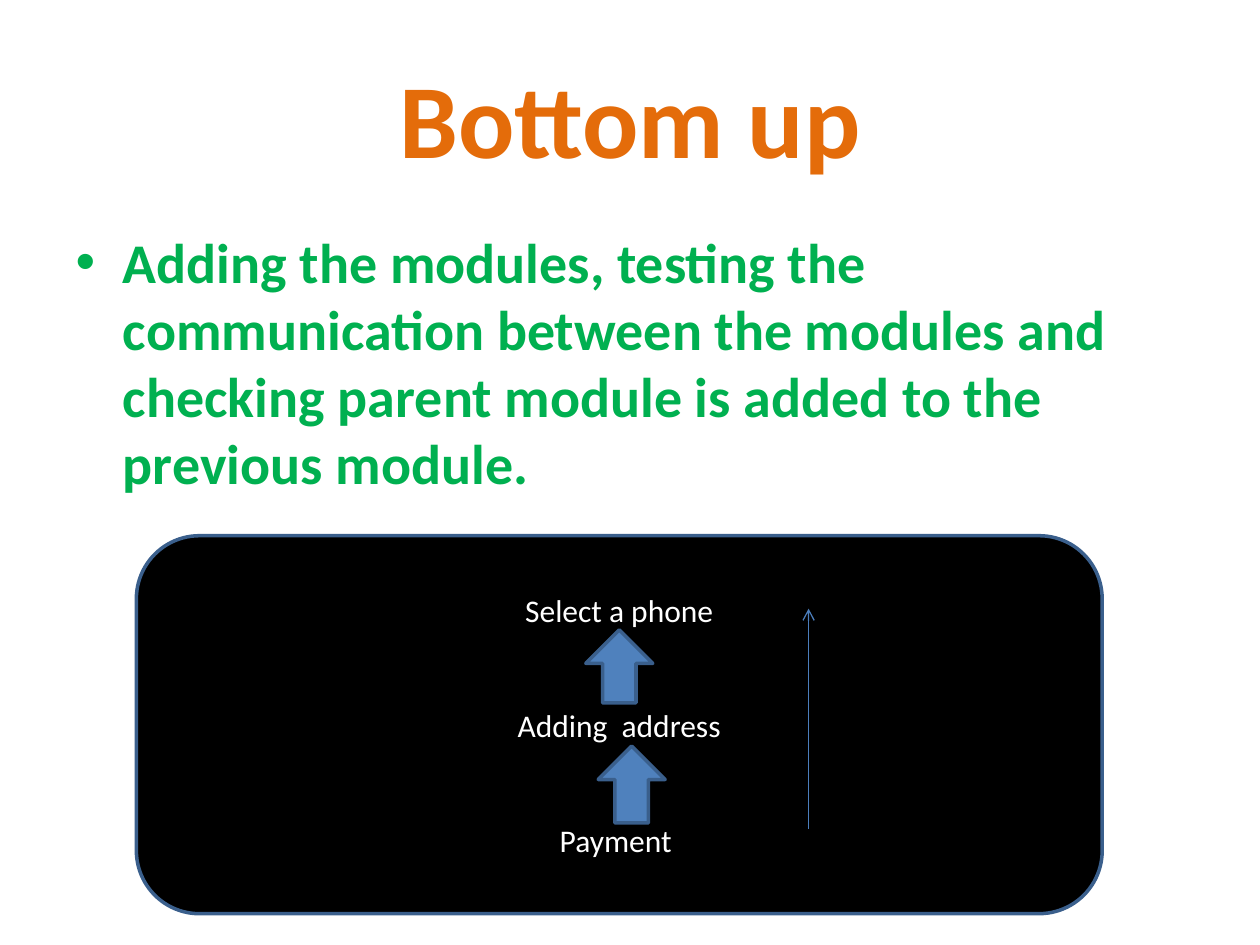
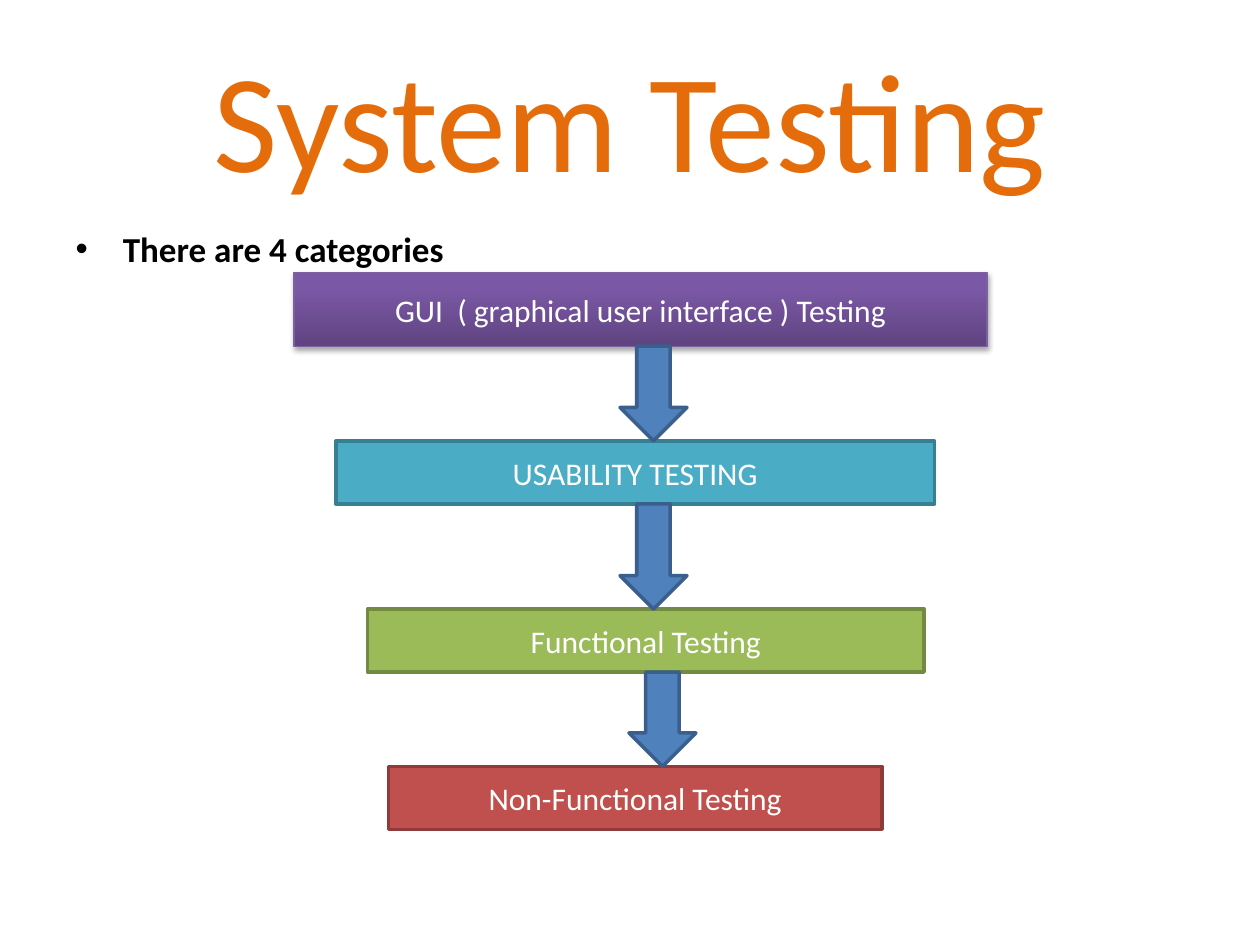
from copy import deepcopy
from lxml import etree
from pptx import Presentation
from pptx.dml.color import RGBColor
from pptx.enum.shapes import MSO_CONNECTOR, MSO_SHAPE
from pptx.enum.text import MSO_ANCHOR, MSO_AUTO_SIZE, PP_ALIGN
from pptx.oxml import parse_xml
from pptx.oxml.ns import nsdecls, qn
from pptx.util import Cm, Pt

RECT, ROUNDED = MSO_SHAPE.RECTANGLE, MSO_SHAPE.ROUNDED_RECTANGLE
UP, DOWN = MSO_SHAPE.UP_ARROW, MSO_SHAPE.DOWN_ARROW
CENTER, MIDDLE = PP_ALIGN.CENTER, MSO_ANCHOR.MIDDLE

ORANGE = RGBColor(0xE4, 0x6C, 0x0A)
GREEN = RGBColor(0x00, 0xB0, 0x50)
BLACK = RGBColor(0x00, 0x00, 0x00)
WHITE = RGBColor(0xFF, 0xFF, 0xFF)
BLUE = RGBColor(0x4F, 0x81, 0xBD)
BLUE_EDGE = RGBColor(0x3A, 0x5F, 0x8C)
BLUE_LINE = RGBColor(0x4B, 0x7E, 0xBC)
TEAL = RGBColor(0x4B, 0xAC, 0xC6)
TEAL_EDGE = RGBColor(0x37, 0x7F, 0x92)
OLIVE = RGBColor(0x9B, 0xBB, 0x59)
OLIVE_EDGE = RGBColor(0x73, 0x8A, 0x42)
RED = RGBColor(0xC0, 0x50, 0x4D)
RED_EDGE = RGBColor(0x8E, 0x3B, 0x39)
PURPLE = RGBColor(0x7C, 0x57, 0xA8)
PURPLE_MID = RGBColor(0x7B, 0x58, 0xA6)
PURPLE_DARK = RGBColor(0x5F, 0x44, 0x80)
PURPLE_EDGE = RGBColor(0x7D, 0x60, 0xA0)

FONT = "Calibri"
LABEL = {"size": Pt(18), "bold": False, "color": WHITE}


def write(tf, lines, style, align=None, gap=0):
    tf.word_wrap = True
    for i, line in enumerate(lines):
        p = tf.paragraphs[0] if i == 0 else tf.add_paragraph()
        p.alignment = align
        p.space_before = Pt(gap if i else 0)
        r = p.add_run()
        r.text = line
        r.font.name = FONT
        for key, value in style.items():
            if key == "color":
                r.font.color.rgb = value
            else:
                setattr(r.font, key, value)


def add_box(s, kind, box, fill, edge, lines=(), gap=0):
    sp = s.shapes.add_shape(kind, *[Cm(v) for v in box])
    sp.shadow.inherit = False
    sp.fill.solid()
    sp.fill.fore_color.rgb = fill
    sp.line.color.rgb = edge
    sp.line.width = Pt(2)
    sp.text_frame.vertical_anchor = MIDDLE
    write(sp.text_frame, lines, LABEL, CENTER, gap)
    return sp


prs = Presentation()
prs.slide_width, prs.slide_height = Cm(25.4), Cm(19.05)

pages = [
    ("Bottom up", {"size": Pt(60), "bold": True, "color": ORANGE},
     "Adding the modules, testing the communication between the modules and "
     "checking parent module is added to the previous module.",
     {"size": Pt(32), "bold": True, "color": GREEN}),
    ("System Testing", {"size": Pt(80), "bold": False, "color": ORANGE},
     "There are 4 categories", {"size": Pt(20), "bold": True, "color": BLACK}),
]
slides = []
for title, title_style, bullet, bullet_style in pages:
    s = prs.slides.add_slide(prs.slide_layouts[1])
    slides.append(s)
    for sp, top, height, text, style, align, anchor in (
        (s.shapes.title, 0.76, 3.18, title, title_style, CENTER, MIDDLE),
        (s.placeholders[1], 4.45, 12.57, bullet, bullet_style, None, MSO_ANCHOR.TOP),
    ):
        sp.left, sp.top, sp.width, sp.height = Cm(1.27), Cm(top), Cm(22.86), Cm(height)
        tf = sp.text_frame
        tf.auto_size = MSO_AUTO_SIZE.NONE
        tf.vertical_anchor = anchor
        write(tf, [text], style, align)

s = slides[0]
add_box(s, ROUNDED, (2.75, 10.8, 19.47, 7.62), BLACK, BLUE_EDGE,
        ["Select a phone", "Adding  address", "Payment "], gap=44)
for left, top, height in ((11.81, 12.7, 1.47), (12.06, 15.04, 1.55)):
    add_box(s, UP, (left, top, 1.35, height), BLUE, BLUE_EDGE)
line = s.shapes.add_connector(MSO_CONNECTOR.STRAIGHT, Cm(16.3), Cm(16.71), Cm(16.3), Cm(12.27))
line.line.color.rgb = BLUE_LINE
line.line.width = Pt(0.75)
etree.SubElement(line.line._get_or_add_ln(), qn("a:tailEnd"), type="arrow")
etree.SubElement(line._element.spPr, qn("a:effectLst"))

s = slides[1]
steps = [
    ("GUI  ( graphical user interface ) Testing", (5.93, 5.5, 13.97, 1.48), PURPLE, PURPLE_EDGE),
    ("USABILITY TESTING", (6.77, 8.89, 12.07, 1.27), TEAL, TEAL_EDGE),
    ("Functional Testing", (7.41, 12.28, 11.22, 1.27), OLIVE, OLIVE_EDGE),
    ("Non-Functional Testing", (7.83, 15.45, 9.95, 1.27), RED, RED_EDGE),
]
bars = [add_box(s, RECT, box, fill, edge, [text]) for text, box, fill, edge in steps]

gui = bars[0]
gui.line.width = Pt(0.75)
gui.fill.gradient()
gui.fill.gradient_angle = 90
gs_list = gui._element.spPr.find(qn("a:gradFill")).find(qn("a:gsLst"))
gs_list.append(deepcopy(gs_list[-1]))
stops = ((0, PURPLE_DARK), (0.8, PURPLE_MID), (1, PURPLE))
for stop, (position, color) in zip(gui.fill.gradient_stops, stops):
    stop.position = position
    stop.color.rgb = color
gui._element.spPr.find(qn("a:effectLst")).append(parse_xml(
    f'<a:outerShdw {nsdecls("a")} blurRad="{Pt(3.1)}" dist="{Pt(1.8)}" dir="5400000" rotWithShape="0">'
    '<a:srgbClr val="000000"><a:alpha val="35000"/></a:srgbClr></a:outerShdw>'))

for left, (_, upper, _, _), (_, lower, _, _) in zip((12.5, 12.5, 12.68), steps, steps[1:]):
    top = upper[1] + upper[3]
    add_box(s, DOWN, (left, top, 1.35, lower[1] - top), BLUE, BLUE_EDGE)

prs.save("out.pptx")
